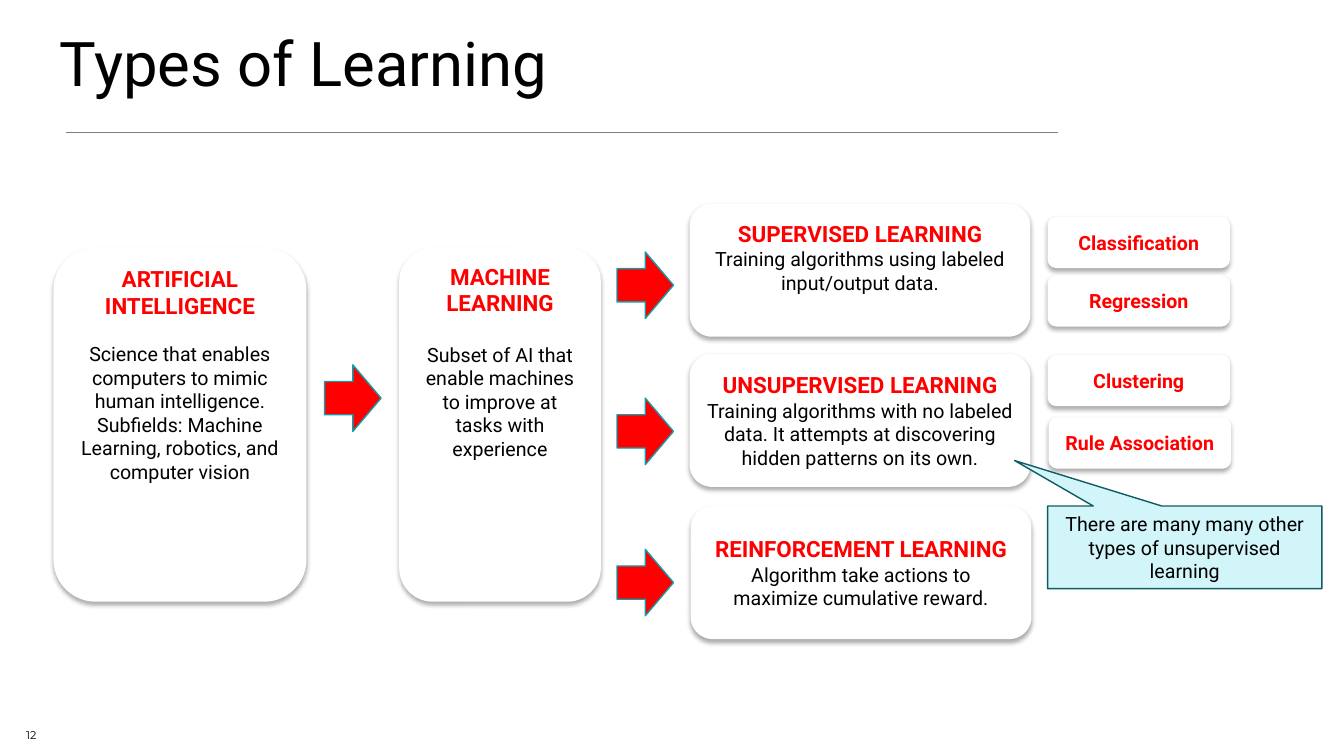
"""Build the Types of Learning slide."""
from dataclasses import dataclass

from lxml.etree import SubElement
from pptx import Presentation
from pptx.dml.color import RGBColor
from pptx.enum.shapes import MSO_CONNECTOR, MSO_SHAPE
from pptx.enum.text import MSO_ANCHOR, MSO_AUTO_SIZE, PP_ALIGN
from pptx.oxml.ns import qn
from pptx.shapes.autoshape import Shape
from pptx.slide import Slide
from pptx.text.text import TextFrame
from pptx.util import Emu, Pt

EMU_PER_PX = 9144
BLACK = RGBColor(0x00, 0x00, 0x00)
WHITE = RGBColor(0xFF, 0xFF, 0xFF)
RED = RGBColor(0xFF, 0x00, 0x00)
GRAY = RGBColor(0x7F, 0x7F, 0x7F)
TEAL = RGBColor(0x17, 0x99, 0xA6)
DARK_TEAL = RGBColor(0x0E, 0x5B, 0x63)
PALE_TEAL = RGBColor(0xD2, 0xF5, 0xF9)


@dataclass(frozen=True)
class Area:
    left: int
    top: int
    width: int
    height: int

    def emu(self) -> tuple[Emu, Emu, Emu, Emu]:
        return px(self.left), px(self.top), px(self.width), px(self.height)


@dataclass(frozen=True)
class Span:
    text: str
    size: int = 14
    color: RGBColor = BLACK
    bold: bool = False
    font: str = "Roboto"
    space_before: float = 0


@dataclass(frozen=True)
class Card:
    area: Area
    spans: tuple[Span, ...]
    anchor: MSO_ANCHOR = MSO_ANCHOR.MIDDLE
    bottom_inset: int = 5


def px(length: int) -> Emu:
    return Emu(length * EMU_PER_PX)


def heading(text: str) -> Span:
    return Span(text, 16, RED, True)


def write(frame: TextFrame, spans: tuple[Span, ...], align: PP_ALIGN = PP_ALIGN.CENTER,
          line_spacing: float = 1.0) -> None:
    for index, span in enumerate(spans):
        para = frame.add_paragraph() if index else frame.paragraphs[0]
        para.alignment = align
        para.line_spacing = line_spacing
        if index:
            para.space_before = Pt(span.space_before)
        run = para.add_run()
        run.text = span.text
        run.font.color.rgb = span.color
        font_format = {"name": span.font, "size": Pt(span.size), "bold": span.bold}
        for name, value in font_format.items():
            setattr(run.font, name, value)


def set_frame(frame: TextFrame, **frame_format: object) -> None:
    for name, value in frame_format.items():
        setattr(frame, name, value)


def draw_shape(page: Slide, kind: MSO_SHAPE, area: Area, fill: RGBColor,
               line: RGBColor | None = None) -> Shape:
    shape = page.shapes.add_shape(kind, *area.emu())
    shape.shadow.inherit = False
    shape.fill.solid()
    shape.fill.fore_color.rgb = fill
    if line is None:
        shape.line.fill.background()
    else:
        shape.line.color.rgb = line
        shape.line.width = Pt(1)
    return shape


def draw_card(page: Slide, card: Card) -> None:
    box = draw_shape(page, MSO_SHAPE.ROUNDED_RECTANGLE, card.area, WHITE)
    effects = box._element.spPr.find(qn("a:effectLst"))
    shadow = SubElement(effects, qn("a:outerShdw"), blurRad=str(Pt(3.5)),
                        dist=str(Pt(2.2)), dir="5400000", rotWithShape="0")
    color = SubElement(shadow, qn("a:srgbClr"), val=str(BLACK))
    SubElement(color, qn("a:alpha"), val="32000")
    set_frame(box.text_frame, word_wrap=True, vertical_anchor=card.anchor,
              margin_bottom=px(card.bottom_inset))
    write(box.text_frame, card.spans)


def draw_divider(page: Slide) -> None:
    divider = page.shapes.add_connector(MSO_CONNECTOR.STRAIGHT, px(65), px(131), px(1049), px(131))
    divider.line.color.rgb = GRAY
    divider.line.width = Pt(0.64)
    SubElement(divider._element.spPr, qn("a:effectLst"))


def draw_title(page: Slide) -> None:
    title = page.shapes.title
    title.left, title.top, title.width, title.height = Area(59, 12, 1215, 94).emu()
    set_frame(title.text_frame, margin_left=0, margin_top=px(14), margin_right=0,
              margin_bottom=0, vertical_anchor=MSO_ANCHOR.MIDDLE, word_wrap=True,
              auto_size=MSO_AUTO_SIZE.NONE)
    write(title.text_frame, (Span("Types of Learning", 44),), PP_ALIGN.LEFT, 0.9)


def draw_page_number(page: Slide) -> None:
    box = page.shapes.add_textbox(*Area(16, 722, 63, 17).emu())
    set_frame(box.text_frame, word_wrap=True, vertical_anchor=MSO_ANCHOR.MIDDLE,
              margin_top=0, margin_bottom=0)
    write(box.text_frame, (Span("12", 8, font="Montserrat"),), PP_ALIGN.LEFT, 0.9)


def draw_callout(page: Slide) -> None:
    callout = draw_shape(page, MSO_SHAPE.RECTANGULAR_CALLOUT, Area(1039, 502, 272, 82),
                         PALE_TEAL, DARK_TEAL)
    callout.adjustments[0] = -0.62
    callout.adjustments[1] = -1.05
    set_frame(callout.text_frame, word_wrap=True, vertical_anchor=MSO_ANCHOR.MIDDLE)
    write(callout.text_frame,
          (Span("There are many many other types of unsupervised learning"),))


CARDS = (
    Card(Area(53, 246, 251, 351), (
        heading("ARTIFICIAL INTELLIGENCE"),
        Span("Science that enables computers to mimic human intelligence. Subfields: "
             "Machine Learning, robotics, and computer vision", space_before=16.5),
    ), MSO_ANCHOR.TOP),
    Card(Area(396, 246, 200, 351), (
        heading("MACHINE LEARNING"),
        Span("Subset of AI that enable machines to improve at tasks with experience",
             space_before=18.75),
    ), MSO_ANCHOR.TOP),
    Card(Area(684, 202, 338, 132), (
        heading("SUPERVISED LEARNING"),
        Span("Training algorithms using labeled input/output data."),
    ), bottom_inset=31),
    Card(Area(684, 351, 338, 132), (
        heading("UNSUPERVISED LEARNING"),
        Span("Training algorithms with no labeled data. It attempts at discovering "
             "hidden patterns on its own."),
    )),
    Card(Area(685, 502, 338, 132), (
        heading("REINFORCEMENT LEARNING"),
        Span("Algorithm take actions to maximize cumulative reward."),
    )),
)
METHODS = (("Classification", 1039, 215), ("Regression", 1039, 273),
           ("Clustering", 1039, 352), ("Rule Association", 1040, 414))
ARROWS = ((322, 362), (612, 250), (612, 395), (612, 545))


def main() -> None:
    deck = Presentation()
    deck.slide_width, deck.slide_height = px(1333), px(750)
    page = deck.slides.add_slide(deck.slide_layouts[5])
    draw_divider(page)
    draw_page_number(page)
    draw_title(page)
    for card in CARDS:
        draw_card(page, card)
    for left, top in ARROWS:
        draw_shape(page, MSO_SHAPE.RIGHT_ARROW, Area(left, top, 56, 66), RED, TEAL)
    for name, left, top in METHODS:
        draw_card(page, Card(Area(left, top, 181, 51), (Span(name, 14, RED, True),)))
    draw_callout(page)
    deck.save("out.pptx")


if __name__ == "__main__":
    main()
